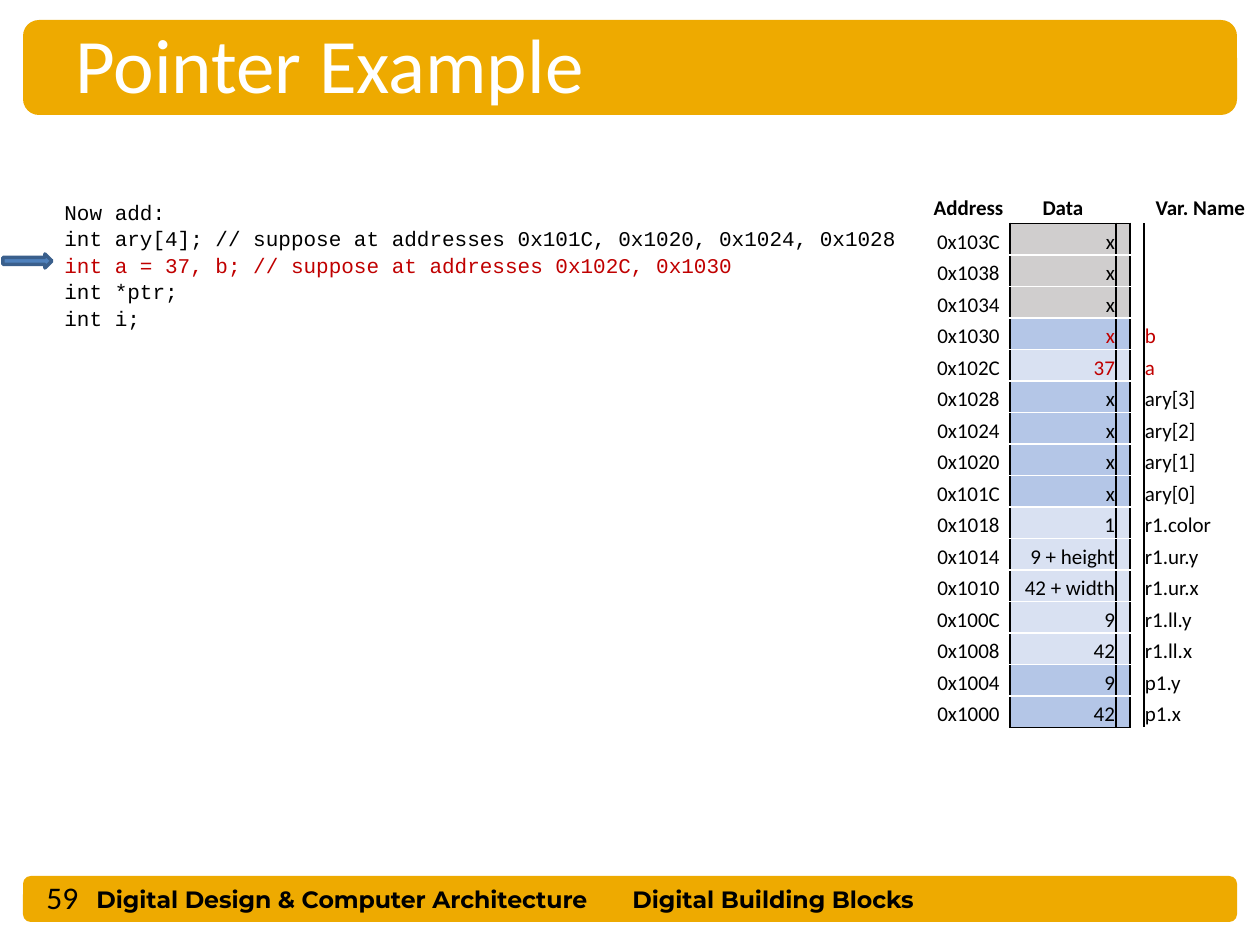
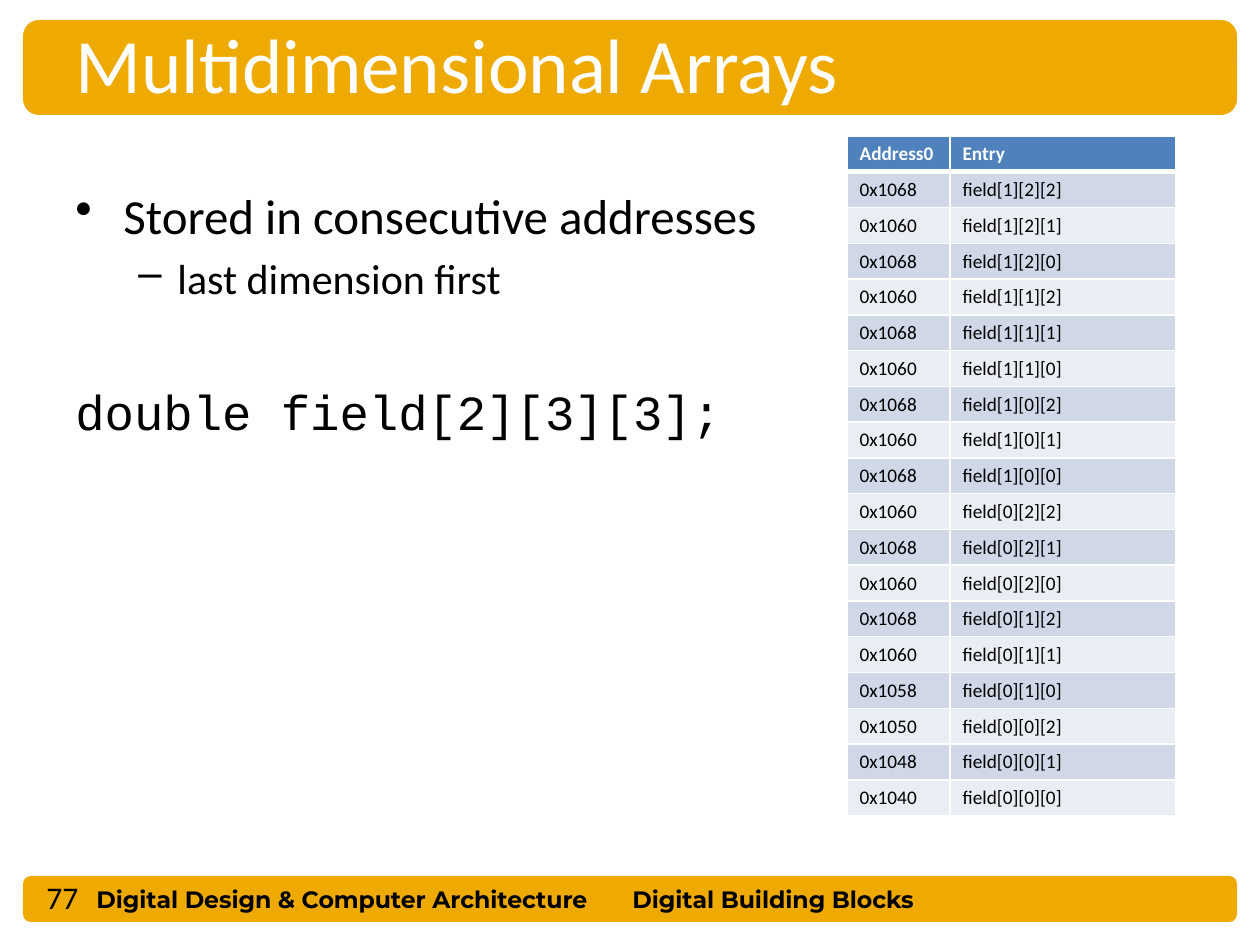
from dataclasses import dataclass
from itertools import cycle, islice, product

from lxml.etree import SubElement
from pptx import Presentation
from pptx.dml.color import RGBColor as Rgb
from pptx.enum.shapes import MSO_SHAPE as Preset
from pptx.enum.text import MSO_ANCHOR as Anchor, PP_ALIGN as Align
from pptx.oxml.ns import qn
from pptx.util import Pt

PX = 914400 / 126  # EMU in one px
PLAIN_TABLE = "{2D5ABB26-0587-4C30-8999-92F81FD0307C}"


@dataclass(frozen=True)
class Theme:
    # Colours
    gold: str = "EEAA00"
    black: str = "000000"
    white: str = "FFFFFF"
    red: str = "C00000"
    blue: str = "4F81BD"
    dark_blue: str = "3A5F8C"
    unused: str = "D0CECE"
    mid_cell: str = "B4C6E7"
    pale_cell: str = "D9E1F2"
    odd_row: str = "D0D8E8"
    even_row: str = "E9EDF4"
    # Fonts
    sans: str = "Calibri"
    mono: str = "Courier New"
    footer: str = "Montserrat"
    # Type sizes
    title_size: float = 44
    body_size: float = 28
    sub_size: float = 24
    number_size: float = 18
    footer_size: float = 13.5
    code_size: float = 12
    memory_size: float = 12
    entry_size: float = 11


def emu(px):
    return round(px * PX)


class Deck:
    def __init__(self, theme):
        self.theme = theme
        self.file = Presentation()
        self.file.slide_width, self.file.slide_height = emu(1260), emu(945)
        self.page = None

    def add_page(self, title, number):
        """Start a slide with the shared bands, title and footer."""
        theme = self.theme
        self.page = self.file.slides.add_slide(self.file.slide_layouts[6])
        for top, height in ((876, 46), (20, 95)):
            self.shape(Preset.ROUNDED_RECTANGLE, (23, top, 1214, height), theme.gold)
        for left, width, words in (
            (84, 560, "Digital Design & Computer Architecture"),
            (620, 370, "Digital Building Blocks"),
        ):
            self.text((left, 878, width, 42), [words], theme.footer_size,
                      font=theme.footer, bold=True, anchor=Anchor.MIDDLE)
        self.text((63, 10, 1092, 106), [title], theme.title_size,
                  color=theme.white, anchor=Anchor.MIDDLE)
        self.text((34, 872, 103, 49), [str(number)], theme.number_size)

    def shape(self, preset, place, fill, line=None):
        shape = self.page.shapes.add_shape(preset, *map(emu, place))
        shape.shadow.inherit = False
        shape.fill.solid()
        shape.fill.fore_color.rgb = Rgb.from_string(fill)
        if line:
            shape.line.color.rgb = Rgb.from_string(line)
            shape.line.width = Pt(2)
        else:
            shape.line.fill.background()

    def style(self, para, size, font=None, color=None, bold=False):
        for span in para.runs:
            span.font.size, span.font.bold = Pt(size), bold
            span.font.name = font or self.theme.sans
            span.font.color.rgb = Rgb.from_string(color or self.theme.black)

    def text(self, place, lines, size, anchor=Anchor.TOP, **style):
        """Add a text box and return its paragraphs."""
        box = self.page.shapes.add_textbox(*map(emu, place))
        frame = box.text_frame
        frame.word_wrap = True
        frame.vertical_anchor = anchor
        frame.text = "\n".join(lines)
        for para in frame.paragraphs:
            self.style(para, size, **style)
        return frame.paragraphs

    def bullet(self, para, mark, left, hang):
        props = para._p.get_or_add_pPr()
        props.set("marL", str(emu(left)))
        props.set("indent", str(-emu(hang)))
        SubElement(props, qn("a:buChar"), char=mark)

    def table(self, place, widths, row_count):
        """Add an unstyled table with equal rows."""
        frame = self.page.shapes.add_table(row_count, len(widths), *map(emu, place))
        table = frame.table
        table.first_row = table.horz_banding = False
        table._tbl.tblPr.find(qn("a:tableStyleId")).text = PLAIN_TABLE
        for column, width in zip(table.columns, widths):
            column.width = emu(width)
        return table

    def cell(self, cell, words, size, fill=None, borders=None, align=Align.LEFT,
             anchor=Anchor.TOP, tight=False, **style):
        """Fill one cell; borders maps L, R, T, B to (colour, points)."""
        cell.text = words
        cell.vertical_anchor = anchor
        if tight:
            cell.margin_left = cell.margin_right = cell.margin_top = emu(1)
            cell.margin_bottom = 0
        para = cell.text_frame.paragraphs[0]
        para.alignment = align
        self.style(para, size, **style)
        if not words:
            SubElement(para._p, qn("a:endParaRPr"), sz=str(size * 100))
        props = cell._tc.get_or_add_tcPr()
        for side in "LRTB":
            if side in (borders or {}):
                color, points = borders[side]
                line = SubElement(props, qn(f"a:ln{side}"), w=str(Pt(points)))
                solid = SubElement(line, qn("a:solidFill"))
                SubElement(solid, qn("a:srgbClr"), val=color)
        if fill:
            cell.fill.solid()
            cell.fill.fore_color.rgb = Rgb.from_string(fill)
        else:
            cell.fill.background()


def pointer_page(deck):
    theme = deck.theme
    deck.add_page("Pointer Example", 59)

    # Code with the current line marked
    code = deck.text((52, 192, 876, 140), [
        "Now add:",
        "int ary[4]; // suppose at addresses 0x101C, 0x1020, 0x1024, 0x1028",
        "int a = 37, b; // suppose at addresses 0x102C, 0x1030",
        "int *ptr;",
        "int i;",
    ], theme.code_size, font=theme.mono)
    for para in code:
        para.line_spacing = 1.05
    deck.style(code[2], theme.code_size, theme.mono, theme.red)
    deck.shape(Preset.RIGHT_ARROW, (3, 254, 49, 14), theme.blue, theme.dark_blue)

    # Memory map, highest address first: value, variable, fill
    gray, mid, pale = theme.unused, theme.mid_cell, theme.pale_cell
    words = [("x", "", gray)] * 3
    words += [("x", "b", mid), ("37", "a", pale)]
    words += [("x", f"ary[{index}]", mid) for index in (3, 2, 1, 0)]
    words += [
        ("1", "r1.color", pale),
        ("9 + height", "r1.ur.y", pale),
        ("42 + width", "r1.ur.x", pale),
        ("9", "r1.ll.y", pale),
        ("42", "r1.ll.x", pale),
        ("9", "p1.y", mid),
        ("42", "p1.x", mid),
    ]
    table = deck.table((927, 192, 333, 536), (83, 106, 14, 14, 113), len(words) + 1)
    black, white = (theme.black, 1), (theme.white, 1)
    for column, label in enumerate(("Address", "Data", "", "", "Var. Name")):
        deck.cell(table.cell(0, column), label, theme.memory_size, bold=True,
                  align=Align.CENTER, anchor=Anchor.MIDDLE, tight=True,
                  borders={"B": black} if column in (1, 2) else None)
    for row, (value, variable, fill) in enumerate(words, 1):
        address = f"0x{0x1000 + 4 * (len(words) - row):04X}"
        color = theme.red if variable in ("a", "b") else theme.black
        edges = {"T": black if row == 1 else white,
                 "B": black if row == len(words) else white}
        cells = (
            (address, Align.CENTER, theme.black, None, {"R": black}),
            (value, Align.RIGHT, color, fill, {"L": black, **edges}),
            ("", Align.LEFT, color, fill, {"R": black, **edges}),
            ("", Align.LEFT, color, None, {"L": black}),
            (variable, Align.LEFT, color, None, None),
        )
        for column, (label, align, ink, back, borders) in enumerate(cells):
            deck.cell(table.cell(row, column), label, theme.memory_size, back,
                      borders, align, Anchor.BOTTOM, tight=True, color=ink)


def array_page(deck):
    theme = deck.theme
    deck.add_page("Multidimensional Arrays", 77)

    # Bullets and declaration
    point, detail, code = deck.text((63, 179, 735, 624), [
        "Stored in consecutive addresses",
        "last dimension first",
        "double field[2][3][3];",
    ], theme.body_size)
    deck.style(detail, theme.sub_size)
    deck.style(code, theme.body_size, theme.mono)
    detail.level = 1
    detail.space_before, code.space_before = Pt(4.8), Pt(45)
    deck.bullet(point, "•", 48, 48)
    deck.bullet(detail, "–", 102, 39)

    # Address of each entry, last one first
    addresses = [*islice(cycle(("0x1068", "0x1060")), 14),
                 "0x1058", "0x1050", "0x1048", "0x1040"]
    entries = [f"field[{i}][{j}][{k}]"
               for i, j, k in product((1, 0), (2, 1, 0), (2, 1, 0))]
    rows = [("Address0", "Entry"), *zip(addresses, entries)]
    table = deck.table((847, 136, 329, 678), (103, 226), len(rows))
    for row, labels in enumerate(rows):
        header = row == 0
        fill = theme.blue if header else theme.odd_row if row % 2 else theme.even_row
        borders = dict.fromkeys("LRTB", (theme.white, 1))
        if row < 2:
            borders["T" if row else "B"] = (theme.white, 3)
        for column, label in enumerate(labels):
            deck.cell(table.cell(row, column), label, theme.entry_size, fill, borders,
                      color=theme.white if header else theme.black, bold=header)


def main():
    deck = Deck(Theme())
    pointer_page(deck)
    array_page(deck)
    deck.file.save("out.pptx")


if __name__ == "__main__":
    main()
